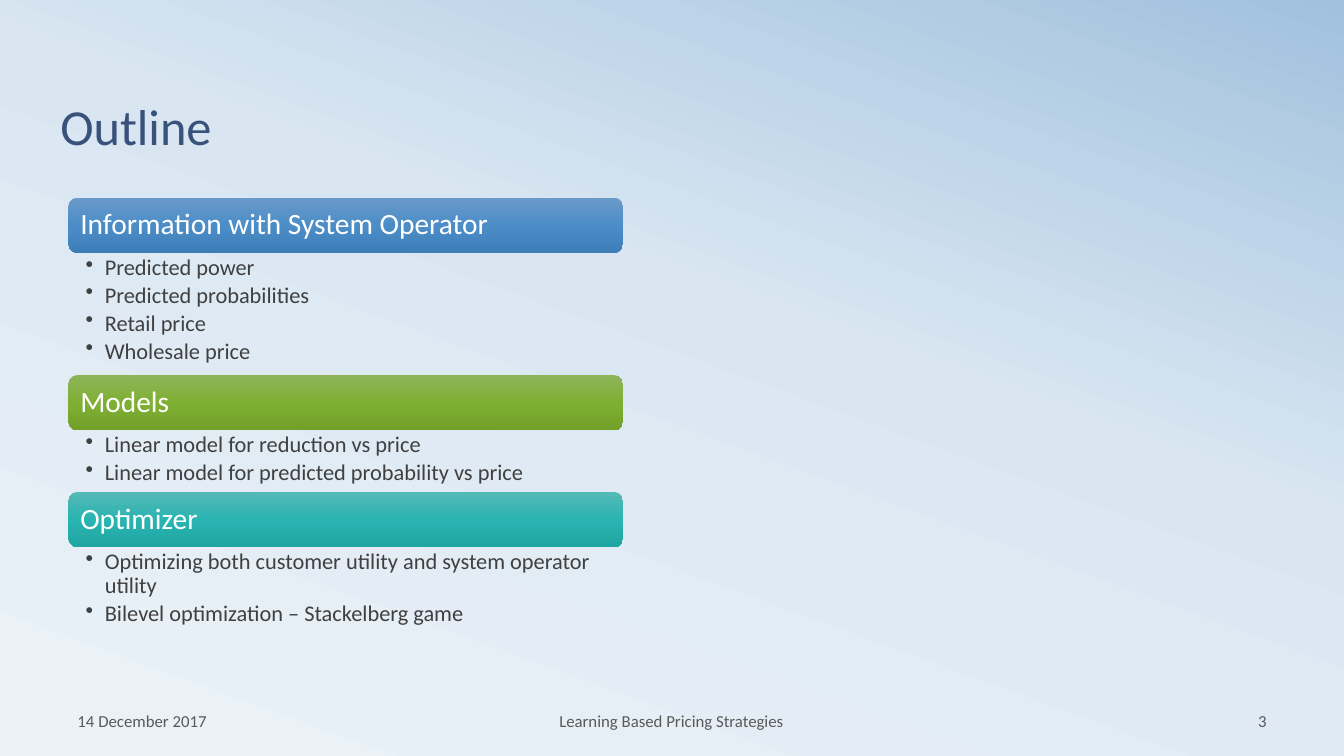
from copy import deepcopy

from lxml import etree
from pptx import Presentation
from pptx.dml.color import RGBColor
from pptx.enum.shapes import MSO_SHAPE as Shape
from pptx.enum.text import MSO_ANCHOR as Anchor, PP_ALIGN as Align
from pptx.oxml.ns import qn
from pptx.util import Inches, Pt

# Content
TITLE = "Outline"
SECTIONS = [  # heading, height of its list, gradient, points
    ("Information with System Operator", 1.21, ("6A9AC9", "4C8DC8", "3E7EB8"),
     ["Predicted power", "Predicted probabilities", "Retail price", "Wholesale price"]),
    ("Models", 0.61, ("8DB459", "7FAF33", "72A029"),
     ["Linear model for reduction vs price",
      "Linear model for predicted probability vs price"]),
    ("Optimizer", 0.86, ("55B9B6", "2AB4B1", "1FA6A3"),
     ["Optimizing both customer utility and system operator utility",
      "Bilevel optimization – Stackelberg game"]),
]
FOOTERS = [  # text, left, width, alignment
    ("14 December 2017", 0.67, 3.11, Align.LEFT),
    ("Learning Based Pricing Strategies", 4.55, 4.22, Align.CENTER),
    ("3", 9.55, 3.11, Align.RIGHT),
]

# Formats
BACKGROUND = ("ECF3F8", "D9E6F2", "A1C1DE")
TITLE_FONT = {"size": Pt(36), "color": "39527B"}
HEADING_FONT = {"size": Pt(21), "color": "FFFFFF"}
POINT_FONT = {"size": Pt(16), "color": "404040"}
FOOTER_FONT = {"size": Pt(12), "color": "595959"}
HEADING_FRAME = {"vertical_anchor": Anchor.MIDDLE, "margin_left": Inches(0.09),
                 "margin_right": Inches(0.09), "margin_top": Inches(0.09),
                 "margin_bottom": Inches(0.09)}
POINT_FRAME = {"margin_left": Inches(0.17), "margin_right": Inches(0.16),
               "margin_top": Inches(0.03), "margin_bottom": Inches(0.03)}
LEFT, TOP, WIDTH, HEADING_HEIGHT = 0.68, 1.96, 5.5, 0.55
INDENT = Inches(0.19)


def paint(color, value):
    color.rgb = RGBColor.from_string(value)


def set_gradient(fill, colors, middle, angle):
    fill.gradient()
    fill.gradient_angle = angle
    first = fill.gradient_stops[0]._gs
    first.addnext(deepcopy(first))
    for stop, value, position in zip(fill.gradient_stops, colors, (0, middle, 1)):
        paint(stop.color, value)
        stop.position = position


def add_bullet(para):
    properties = para._p.get_or_add_pPr()
    properties.set("marL", str(INDENT))
    properties.set("indent", str(-INDENT))
    etree.SubElement(properties, qn("a:buChar")).set("char", "•")


def write(box, lines, font, frame, layout, bullets=False):
    text = box.text_frame
    text.word_wrap = True
    for name, value in frame.items():
        setattr(text, name, value)
    for index, line in enumerate(lines):
        para = text.paragraphs[0] if index == 0 else text.add_paragraph()
        if bullets:
            add_bullet(para)
        for name, value in layout.items():
            setattr(para, name, value)
        span = para.add_run()
        span.text = line
        span.font.name = "Calibri"
        span.font.size = font["size"]
        paint(span.font.color, font["color"])


def add_box(page, left, top, width, height):
    return page.shapes.add_textbox(Inches(left), Inches(top), Inches(width), Inches(height))


def main():
    deck = Presentation()
    deck.slide_width, deck.slide_height = Inches(13.33), Inches(7.5)
    page = deck.slides.add_slide(deck.slide_layouts[6])
    set_gradient(page.background.fill, BACKGROUND, 0.58, 70)

    # Title
    write(add_box(page, 0.5, 0.42, 12, 1.17), [TITLE], TITLE_FONT,
          {"vertical_anchor": Anchor.BOTTOM}, {"line_spacing": 0.8})

    # Headings with their lists, stacked
    top = TOP
    for heading, list_height, colors, points in SECTIONS:
        bar = page.shapes.add_shape(Shape.ROUNDED_RECTANGLE, Inches(LEFT), Inches(top),
                                    Inches(WIDTH), Inches(HEADING_HEIGHT))
        bar.shadow.inherit = False
        bar.line.fill.background()
        set_gradient(bar.fill, colors, 0.5, 270)
        write(bar, [heading], HEADING_FONT, HEADING_FRAME,
              {"alignment": Align.LEFT, "line_spacing": 0.9})
        top += HEADING_HEIGHT
        write(add_box(page, LEFT, top, WIDTH, list_height), points, POINT_FONT, POINT_FRAME,
              {"line_spacing": 0.9, "space_after": Pt(2.7)}, bullets=True)
        top += list_height

    # Footer
    for line, left, width, alignment in FOOTERS:
        write(add_box(page, left, 6.95, width, 0.4), [line], FOOTER_FONT,
              {"vertical_anchor": Anchor.MIDDLE}, {"alignment": alignment})

    deck.save("out.pptx")


if __name__ == "__main__":
    main()
